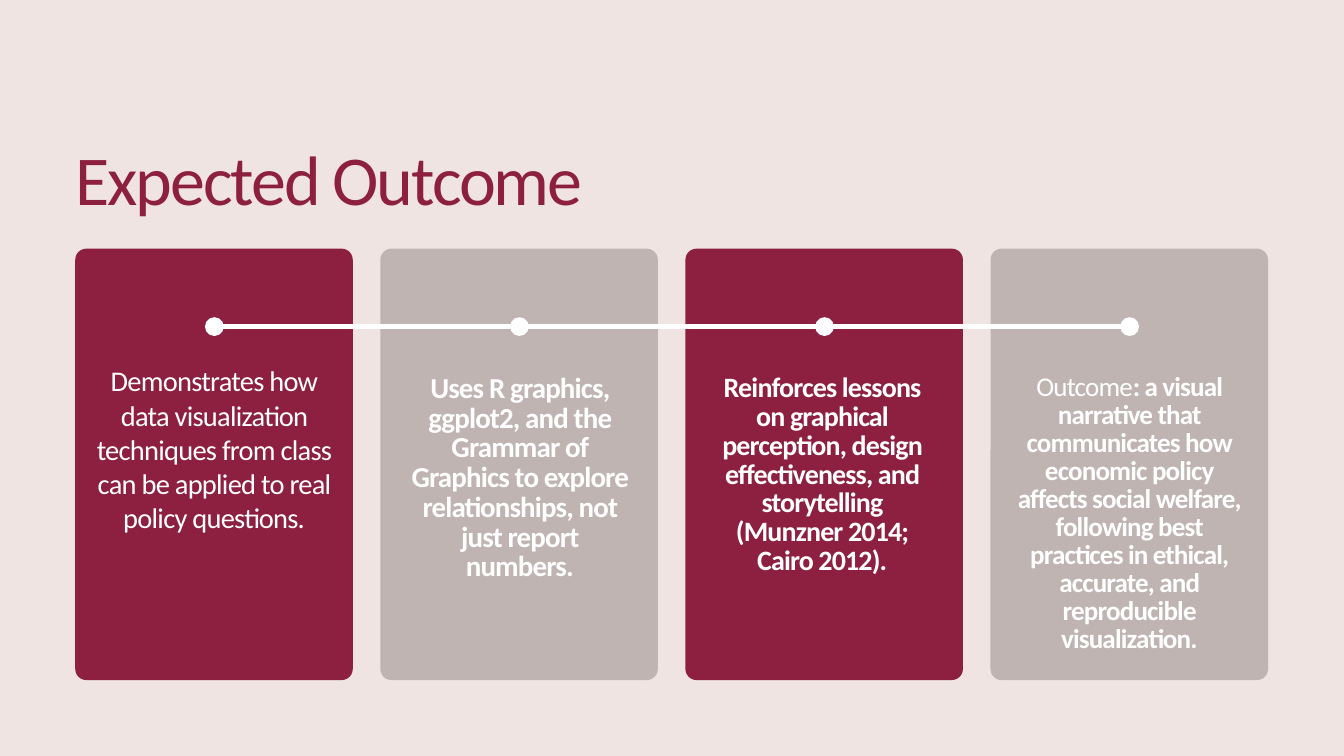
from lxml.etree import SubElement
from pptx import Presentation
from pptx.dml.color import RGBColor
from pptx.enum.shapes import MSO_CONNECTOR as Connector, MSO_SHAPE as Shape
from pptx.enum.text import MSO_ANCHOR as Anchor, MSO_AUTO_SIZE as AutoSize, PP_ALIGN as Align
from pptx.oxml.ns import qn
from pptx.util import Pt

SCALE = 9144
COLORS = {"page": "F0E4E2", "wine": "8D2041", "taupe": "BFB4B2", "white": "FFFFFF"}

CARD_WIDTH, CARD_HEIGHT, CARD_PITCH = 413, 642, 454
DOT_SIZE, DOT_CENTER = 28, 116

CARDS = [
    {"fill": "wine", "text_box": (27, 171, 359, 300), "size": 30.5, "leading": 36.6, "spacing": -80,
     "runs": [("Demonstrates how data visualization techniques from class can be "
               "applied to real policy questions.", False)]},
    {"fill": "taupe", "text_box": (40, 187, 335, 351), "size": 31, "leading": 31.9, "spacing": -90,
     "runs": [("Uses R graphics, ggplot2, and the Grammar of Graphics to explore "
               "relationships, not just report numbers.", True)]},
    {"fill": "wine", "text_box": (40, 187, 327, 385), "size": 30, "leading": 30.9, "spacing": -90,
     "runs": [("Reinforces lessons on graphical perception, design effectiveness, and "
               "storytelling (Munzner 2014; Cairo 2012).", True)]},
    {"fill": "taupe", "text_box": (32, 187, 349, 412), "size": 29, "leading": 29.9, "spacing": -90,
     "runs": [("Outcome", False),
              (": a visual narrative that communicates how economic policy affects social "
               "welfare, following best practices in ethical, accurate, and reproducible "
               "visualization.", True)]},
]


def px(*lengths):
    return [length * SCALE for length in lengths]


def color(name):
    return RGBColor.from_string(COLORS[name])


def add_filled(page, kind, box, fill):
    shape = page.shapes.add_shape(kind, *px(*box))
    shape.shadow.inherit = False
    shape.fill.solid()
    shape.fill.fore_color.rgb = color(fill)
    shape.line.fill.background()
    return shape


def format_frame(frame, align, leading):
    frame.margin_left = frame.margin_top = frame.margin_right = frame.margin_bottom = 0
    frame.word_wrap = True
    frame.auto_size = AutoSize.SHAPE_TO_FIT_TEXT
    frame.vertical_anchor = Anchor.TOP
    para = frame.paragraphs[0]
    para.alignment = align
    para.line_spacing = Pt(leading)
    para.space_before = Pt(0)


def format_span(span, size, fill, spacing, bold=False):
    span.font.name = "Calibri"
    span.font.size = Pt(size)
    span.font.bold = bold
    span.font.color.rgb = color(fill)
    span._r.get_or_add_rPr().set("spc", str(spacing))


def add_title(page, box):
    title = page.shapes.title
    title.left, title.top, title.width, title.height = px(*box)
    title.text_frame.text = "Expected Outcome"
    format_frame(title.text_frame, Align.LEFT, 77.2)
    format_span(title.text_frame.paragraphs[0].runs[0], 75, "wine", -220)


def add_card(page, left, top, card):
    panel = add_filled(page, Shape.ROUNDED_RECTANGLE,
                       (left, top, CARD_WIDTH, CARD_HEIGHT), card["fill"])
    panel.adjustments[0] = 0.04
    dx, dy, width, height = card["text_box"]
    frame = page.shapes.add_textbox(*px(left + dx, top + dy, width, height)).text_frame
    format_frame(frame, Align.CENTER, card["leading"])
    for text, bold in card["runs"]:
        span = frame.paragraphs[0].add_run()
        span.text = text
        format_span(span, card["size"], "white", card["spacing"], bold)


def add_timeline(page, centers, y):
    line = page.shapes.add_connector(Connector.STRAIGHT, *px(centers[0], y, centers[-1], y))
    line.line.color.rgb = color("white")
    line.line.width = Pt(4.5)
    SubElement(line._element.spPr, qn("a:effectLst"))
    for center in centers:
        corner = (center - DOT_SIZE // 2, y - DOT_SIZE // 2)
        add_filled(page, Shape.OVAL, (*corner, DOT_SIZE, DOT_SIZE), "white")


def add_outcomes(page, left, top):
    lefts = [left + i * CARD_PITCH for i in range(len(CARDS))]
    for card_left, card in zip(lefts, CARDS):
        add_card(page, card_left, top, card)
    centers = [card_left + CARD_WIDTH // 2 + 1 for card_left in lefts]
    add_timeline(page, centers, top + DOT_CENTER)


def main():
    deck = Presentation()
    deck.slide_width, deck.slide_height = px(2000, 1125)
    page = deck.slides.add_slide(deck.slide_layouts[5])
    page.background.fill.solid()
    page.background.fill.fore_color.rgb = color("page")
    add_title(page, (112, 219, 985, 112))
    add_outcomes(page, 112, 370)
    deck.save("out.pptx")


if __name__ == "__main__":
    main()
